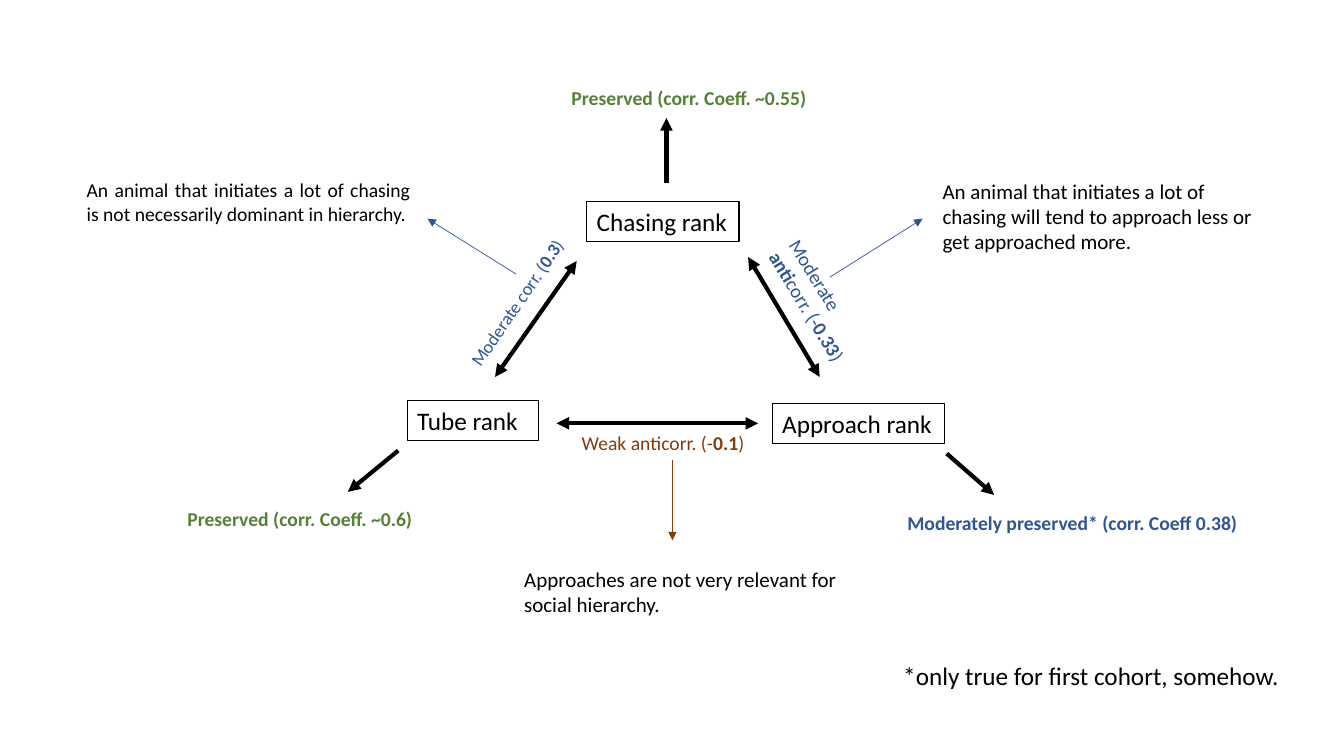
"""Builds a slide that relates chasing, tube and approach ranks."""
from lxml import etree
from pptx import Presentation
from pptx.dml.color import RGBColor
from pptx.enum.shapes import MSO_CONNECTOR, MSO_SHAPE
from pptx.enum.text import MSO_ANCHOR, MSO_AUTO_SIZE, PP_ALIGN
from pptx.oxml.ns import qn
from pptx.util import Inches, Pt

RECT = MSO_SHAPE.RECTANGLE
LINE = MSO_CONNECTOR.STRAIGHT
TOP = MSO_ANCHOR.TOP
GROW = MSO_AUTO_SIZE.SHAPE_TO_FIT_TEXT
LEFT, FULL = PP_ALIGN.LEFT, PP_ALIGN.JUSTIFY

FONT = "Calibri"
BLACK, GREEN, BLUE, BROWN = "000000", "548235", "2F5597", "843C0B"
THICK, THIN = 3, 0.5
BOTH, END = ("headEnd", "tailEnd"), ("tailEnd",)

RANKS = [
    ("Chasing rank", (5.82, 2, 1.51, 0.4)),
    ("Tube rank", (4.04, 3.97, 1.3, 0.4)),
    ("Approach rank", (7.66, 4, 1.71, 0.4)),
]

ARROWS = [
    ((4.91, 3.74), (5.72, 2.59), BLACK, THICK, BOTH),
    ((7.42, 2.55), (8.13, 3.74), BLACK, THICK, BOTH),
    ((5.52, 4.2), (7.52, 4.2), BLACK, THICK, BOTH),
    ((6.61, 1.82), (6.61, 1.17), BLACK, THICK, END),
    ((3.95, 4.47), (3.45, 4.88), BLACK, THICK, END),
    ((9.39, 4.5), (9.86, 4.91), BLACK, THICK, END),
    ((5.12, 2.72), (4.24, 2.17), BLUE, THIN, END),
    ((8.23, 2.75), (9.15, 2.17), BLUE, THIN, END),
    ((6.67, 4.56), (6.67, 5.36), BROWN, THIN, END),
]

KEPT = [
    ("Preserved (corr. Coeff. ~0.55)", (5.57, 0.8, 2.64, 0.34), GREEN),
    ("Preserved (corr. Coeff. ~0.6)", (1.76, 4.98, 2.53, 0.34), GREEN),
    ("Moderately preserved* (corr. Coeff 0.38)", (8.9, 5.02, 3.71, 0.34), BLUE),
]

LINKS = [
    (["Moderate corr. (", "0.3", ")"], (4.26, 2.78, 1.82, 0.32), 13, BLUE, 304.5),
    (["Moderate ", "anti", "corr. (-", "0.33", ")"],
     (7.37, 2.73, 1.51, 0.57), 14, BLUE, 58.5),
    (["Weak anticorr. (-", "0.1", ")"], (5.67, 4.23, 2, 0.34), 14, BROWN, 0),
]

NOTES = [
    ("*only true for first cohort, somehow.", (8.86, 6.5, 4.09, 0.4), 18, LEFT),
    ("An animal that initiates a lot of chasing will tend to approach less "
     "or get approached more.", (9.25, 1.72, 3.33, 0.86), 15, LEFT),
    ("An animal that initiates a lot of chasing is not necessarily dominant "
     "in hierarchy.", (0.76, 1.72, 3.41, 0.57), 14, FULL),
    ("Approaches are not very relevant for social hierarchy.",
     (5.1, 5.57, 3.41, 0.61), 15, LEFT),
]


def paint(fmt, tone):
    fmt.rgb = RGBColor.from_string(tone)


def write(shape, parts, size, tone, align=LEFT, bold=False):
    frame = shape.text_frame
    frame.word_wrap = True
    frame.auto_size = GROW
    frame.vertical_anchor = TOP
    para = frame.paragraphs[0]
    para.alignment = align
    for i, part in enumerate(parts):
        run = para.add_run()
        run.text = part
        run.font.name = FONT
        run.font.size = Pt(size)
        run.font.bold = bold or i % 2 == 1
        paint(run.font.color, tone)


def add_rank(slide, text, box):
    shape = slide.shapes.add_shape(RECT, *map(Inches, box))
    shape.shadow.inherit = False
    shape.fill.background()
    shape.line.width = Pt(0.75)
    paint(shape.line.color, BLACK)
    write(shape, [text], 18, BLACK)


def add_label(slide, parts, box, size, tone, turn=0, **style):
    shape = slide.shapes.add_textbox(*map(Inches, box))
    shape.rotation = turn
    write(shape, parts, size, tone, **style)


def add_arrow(slide, start, stop, tone, width, ends):
    arrow = slide.shapes.add_connector(LINE, *map(Inches, start + stop))
    arrow.line.width = Pt(width)
    paint(arrow.line.color, tone)
    props = arrow._element.spPr
    for end in ends:
        etree.SubElement(props.find(qn("a:ln")), qn("a:" + end), type="triangle")
    etree.SubElement(props, qn("a:effectLst"))


def main():
    deck = Presentation()
    deck.slide_width, deck.slide_height = Inches(13.33), Inches(7.5)
    slide = deck.slides.add_slide(deck.slide_layouts[6])
    for rank in RANKS:
        add_rank(slide, *rank)
    for arrow in ARROWS:
        add_arrow(slide, *arrow)
    for text, box, tone in KEPT:
        add_label(slide, [text], box, 14, tone, bold=True)
    for link in LINKS:
        add_label(slide, *link)
    for text, box, size, align in NOTES:
        add_label(slide, [text], box, size, BLACK, align=align)
    deck.save("out.pptx")


if __name__ == "__main__":
    main()
